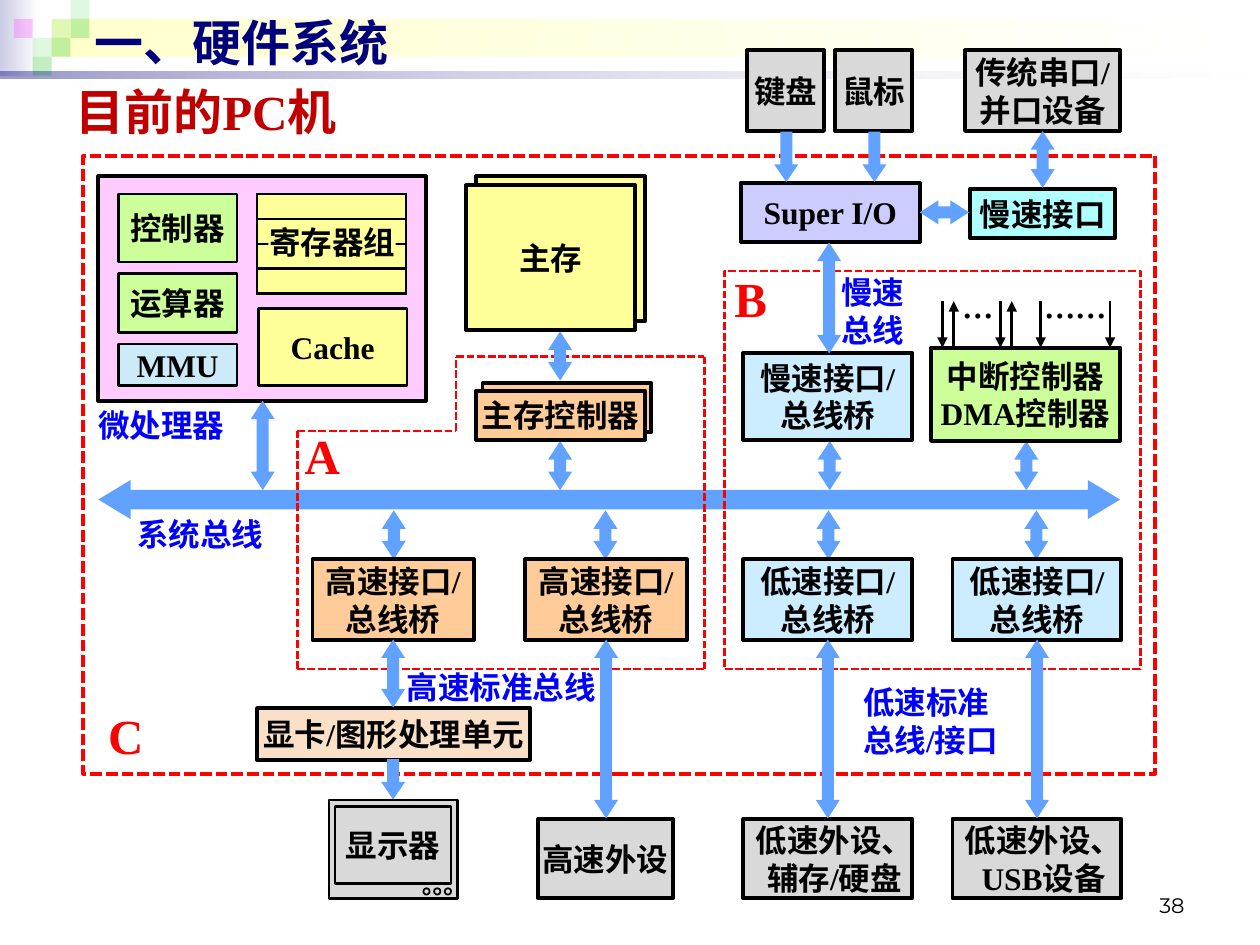
from itertools import pairwise
from lxml.etree import SubElement
from pptx import Presentation
from pptx.dml.color import RGBColor
from pptx.enum.dml import MSO_LINE
from pptx.enum.shapes import MSO_CONNECTOR, MSO_SHAPE
from pptx.enum.text import MSO_ANCHOR, MSO_AUTO_SIZE, PP_ALIGN
from pptx.oxml.ns import qn
from pptx.util import Inches, Pt

CELL = 0.1  # grid of 100 columns by 75 rows on a 10 x 7.5 inch slide
GREY, ORANGE, SKY, LIME, YELLOW = "D9D9D9", "FFCC99", "CCECFF", "CCFF99", "FFFF99"
ARROW, RED, BLUE, BLACK = "61A1FF", "FF0000", "0000FF", "000000"
CJK = "Noto Sans CJK SC"


def rgb(value):
    return RGBColor.from_string(value)


def grid(*cells):
    return [Inches(round(c * CELL, 3)) for c in cells]


def write(tf, text, size=18, font="Times New Roman", color=BLACK, bold=True,
          aligns=(PP_ALIGN.CENTER,), plain=False):
    """Fill a text frame, one paragraph per line; the last alignment repeats."""
    for i, line in enumerate(text.split("\n")):
        p = tf.paragraphs[0] if i == 0 else tf.add_paragraph()
        p.alignment = aligns[min(i, len(aligns) - 1)]
        if plain:
            pPr = p._p.get_or_add_pPr()
            pPr.set("marL", "0")
            pPr.set("indent", "0")
            SubElement(pPr, qn("a:buNone"))
            p.space_before = Pt(0)
        r = p.add_run()
        r.text = line
        r.font.size, r.font.bold, r.font.name = Pt(size), bold, font
        r.font.color.rgb = rgb(color)
        SubElement(r._r.get_or_add_rPr(), qn("a:ea"), typeface=CJK)


class Diagram:
    def __init__(self, prs):
        self.s = prs.slides.add_slide(prs.slide_layouts[1])
        self.shapes = self.s.shapes

    def shape(self, at, fill=None, line=None, width=2.25, kind=MSO_SHAPE.RECTANGLE,
              dash=False, alphas=()):
        sp = self.shapes.add_shape(kind, *grid(*at))
        sp.shadow.inherit = False
        if fill is None:
            sp.fill.background()
        elif isinstance(fill, tuple):
            sp.fill.gradient()
            sp.fill.gradient_angle = 0
            for stop, color in zip(sp.fill.gradient_stops, fill):
                stop.color.rgb = rgb(color)
        else:
            sp.fill.solid()
            sp.fill.fore_color.rgb = rgb(fill)
        for color, alpha in zip(sp._element.spPr.iter(qn("a:srgbClr")), alphas):
            SubElement(color, qn("a:alpha"), val=str(alpha * 1000))
        if line:
            self.stroke(sp.line, line, width, dash)
        else:
            sp.line.fill.background()
        return sp

    def stroke(self, line, color, width, dash=False):
        line.color.rgb, line.width = rgb(color), Pt(width)
        if dash:
            line.dash_style = MSO_LINE.SQUARE_DOT

    def box(self, text, at, fill, line=BLACK, width=2.25, **fmt):
        sp = self.shape(at, fill, line, width)
        tf = sp.text_frame
        tf.word_wrap, tf.vertical_anchor = False, MSO_ANCHOR.MIDDLE
        write(tf, text, **fmt)
        return sp

    def label(self, text, at, inset=(0.1, 0.05), wrap=False, anchor=MSO_ANCHOR.TOP, grow=True,
              aligns=(PP_ALIGN.LEFT,), **fmt):
        tf = self.shapes.add_textbox(*grid(*at)).text_frame
        tf.margin_left = tf.margin_right = Inches(inset[0])
        tf.margin_top = tf.margin_bottom = Inches(inset[1])
        tf.word_wrap, tf.vertical_anchor = wrap, anchor
        tf.auto_size = MSO_AUTO_SIZE.SHAPE_TO_FIT_TEXT if grow else MSO_AUTO_SIZE.NONE
        write(tf, text, aligns=aligns, **fmt)

    def placeholder(self, index, text, at, anchor, **fmt):
        ph = self.s.placeholders[index]
        ph.left, ph.top, ph.width, ph.height = grid(*at)
        self.shapes._spTree.append(ph._element)  # bring in front of the banner
        tf = ph.text_frame
        tf.vertical_anchor, tf.auto_size = anchor, MSO_AUTO_SIZE.NONE
        write(tf, text, size=28, aligns=(PP_ALIGN.LEFT,), plain=True, **fmt)

    def arrow(self, at, both=True, head=0.774):
        kind = MSO_SHAPE.LEFT_RIGHT_ARROW if both else MSO_SHAPE.RIGHT_ARROW
        sp = self.shape(at, ARROW, kind=kind)
        sp.adjustments[0], sp.adjustments[1] = 0.5, head
        return sp

    def v_arrow(self, x, top, bottom, both=True):
        length, thick = bottom - top, 1.9
        at = (x - length / 2, (top + bottom - thick) / 2, length, thick)
        self.arrow(at, both, 0.774 if both else 0.733).rotation = 90

    def line(self, start, end, color, dash=False, head=False):
        c = self.shapes.add_connector(MSO_CONNECTOR.STRAIGHT, *grid(*start, *end))
        self.stroke(c.line, color, 1.5, dash)
        if head:
            SubElement(c.line._get_or_add_ln(), qn("a:tailEnd"), type="triangle")
        SubElement(c._element.spPr, qn("a:effectLst"))

    def stripes(self, at, rows, fill):
        t = self.shapes.add_table(rows, 1, *grid(*at)).table
        t.first_row = t.horz_banding = False
        for row in t.rows:
            cell = row.cells[0]
            cell.margin_top = cell.margin_bottom = 0
            SubElement(cell.text_frame.paragraphs[0]._p, qn("a:endParaRPr"), sz="800")
            tcPr = cell._tc.get_or_add_tcPr()
            for side in ("lnL", "lnR", "lnT", "lnB"):
                ln = SubElement(tcPr, qn("a:" + side), w=str(Pt(1.5)))
                SubElement(SubElement(ln, qn("a:solidFill")), qn("a:srgbClr"), val=BLACK)
            cell.fill.solid()
            cell.fill.fore_color.rgb = rgb(fill)


def main():
    prs = Presentation()
    prs.slide_width, prs.slide_height = grid(100, 75)
    d = Diagram(prs)

    # Banner, heading and page number
    d.shape((0, 0, 3.1, 6), ("CCCCE6", "FFFFFF"))
    d.shape((4.1, 1.5, 95.5, 3), ("FFFFCC", "FFFFFF"))
    for col, row, color, alpha in ((2, 1, "33CC33", 15), (3, 0, "33CC33", 15),
                                   (3, 1, "33CC33", 30), (1, 2, "33CC33", 15),
                                   (0, 1, "FF00FF", 20), (2, 2, "33CC33", 30),
                                   (1, 3, "33CC33", 30)):
        d.shape((1.1 + 1.5 * col, 1.5 * row, 1.5, 1.5), color, alphas=(alpha,))
    d.shape((0, 5.7, 100, 0.5), ("00007D", "FFFFFF"), alphas=(40, 10))
    d.placeholder(0, "一、硬件系统", (6.5, 0.5, 90, 5.7), MSO_ANCHOR.MIDDLE,
                  font="Arial", color="00007D")
    d.placeholder(1, "目前的PC机", (5, 6, 27.3, 5.6), MSO_ANCHOR.TOP, color="C00000")
    d.label("38", (71.7, 68.3, 23.3, 5), wrap=True, anchor=MSO_ANCHOR.BOTTOM, grow=False,
            aligns=(PP_ALIGN.RIGHT,), size=12, font="Montserrat", bold=False)

    # Microprocessor
    d.shape((7.8, 14, 26, 17.8), "FFCCFF", BLACK)
    for text, top, height, fill in (("控制器", 15.4, 5.4, LIME), ("运算器", 21.7, 4.7, LIME),
                                    ("MMU", 27.3, 3.3, "CCEAF8")):
        d.box(text, (9.4, top, 9.4, height), fill, width=1.5)
    d.stripes((20.4, 15.4, 11.8, 7.9), 4, YELLOW)
    tf = d.box("寄存器组", (21.3, 17.7, 10.1, 3), YELLOW, line=None).text_frame
    tf.margin_left = tf.margin_right = tf.margin_top = tf.margin_bottom = 0
    d.box("Cache", (20.5, 24.5, 11.8, 6.1), YELLOW, width=1.5)

    # System bus and its short links
    d.arrow((7.8, 38.1, 81.1, 3.1), head=0.827)
    d.v_arrow(20.85, 31.8, 38.9)
    for x in (44.45, 65.85, 81.45):
        d.v_arrow(x, 35, 38.9)
    for x in (31.25, 48.05, 65.75, 82.25):
        d.v_arrow(x, 40.5, 44.4)

    # Bridges below the bus
    for left in (24.8, 41.7):
        d.box("高速接口/\n总线桥", (left, 44.4, 12.8, 6.4), ORANGE)
    for left, devices in ((59, "低速外设、\n辅存/硬盘"), (75.6, "低速外设、\nUSB设备")):
        d.box("低速接口/\n总线桥", (left, 44.4, 13.4, 6.4), SKY)
        d.box(devices, (left, 65, 13.4, 6.3), GREY, aligns=(PP_ALIGN.LEFT, PP_ALIGN.CENTER))

    # Peripherals and slow side
    d.box("高速外设", (42.7, 65, 10.7, 6.3), GREY)
    d.box("显卡/图形处理单元", (20.4, 56.2, 21.7, 4.1), "F9E0C7")
    d.box("慢速接口/\n总线桥", (59, 28, 13.4, 6.9), SKY)
    d.box("Super I/O", (58.8, 14.5, 14.2, 4.7), "CCCCFF")
    d.box("中断控制器\nDMA控制器", (73.9, 27.6, 15, 7.4), LIME)
    d.box("慢速接口", (77, 15, 11.5, 3.9), "AFFFFF")
    for text, left, width in (("键盘", 59.3, 6.1), ("鼠标", 66.3, 6.1),
                              ("传统串口/\n并口设备", 76.6, 12.3)):
        d.box(text, (left, 4, width, 6.4), GREY)

    # Monitor
    d.shape((26.1, 63.5, 10.2, 7.8), GREY, BLACK, 1.5)
    d.box("显示器", (26.6, 64, 9.2, 6.1), GREY, width=1.5)
    for i in range(3):
        d.shape((33.6 + 0.85 * i, 70.5, 0.5, 0.5), GREY, BLACK, 1, MSO_SHAPE.OVAL)

    # Dashed regions A, B and C
    outline = [(36.2, 28.3), (55.9, 28.3), (55.9, 53.1), (23.6, 53.1), (23.6, 34.2),
               (36.2, 34.2), (36.2, 28.3)]
    for start, end in pairwise(outline):
        d.line(start, end, RED, dash=True)
    d.shape((57.5, 21.5, 33, 31.6), line=RED, width=1.5, dash=True)
    d.shape((6.6, 12.4, 85.1, 49), line=RED, dash=True)
    for text, left, top in (("A", 23.2, 33.3), ("B", 57.3, 20.8), ("C", 7.6, 55.5)):
        d.label(text, (left, top, 4.9, 5.7), size=28, color=RED)

    # Interrupt and DMA request lines
    for x, down in ((74.8, True), (75.7, False), (79.4, True), (80.3, False),
                    (82.6, True), (88.1, True)):
        ends = [(x, 23.9), (x, 27.6)]
        d.line(*(ends if down else ends[::-1]), BLACK, head=True)
    d.label("…", (75.4, 23.1, 4.5, 4), font=CJK)
    d.label("……", (81.9, 23.1, 7.1, 4), font=CJK)

    # Bus names
    d.label("微处理器", (7.8, 31.7, 10.1, 4), (0, 0.05), color=BLUE)
    d.label("系统总线", (10.9, 40.4, 10.1, 4), (0, 0.05), color=BLUE)
    d.label("慢速\n总线", (65.8, 21.2, 7.1, 7.1), color=BLUE)
    d.label("高速标准总线", (32.3, 53, 15.1, 3), (0, 0), color=BLUE)
    d.label("低速标准\n总线/接口", (68.5, 54.2, 10.8, 6.1), (0, 0), wrap=True, color=BLUE)

    # Links between devices and interfaces
    d.v_arrow(31.2, 60.25, 63.45, both=False)
    for x in (62.4, 69.4):
        d.v_arrow(x, 10.45, 14.45, both=False)
    d.arrow((73, 15.9, 3.9, 1.9))
    for x, top, bottom in ((82.75, 10.4, 14.9), (48.1, 50.75, 64.95), (65.7, 50.75, 64.95),
                           (82.3, 50.75, 64.95), (44.45, 26.3, 30.2), (31.2, 50.75, 56.15),
                           (65.8, 19.25, 28.05)):
        d.v_arrow(x, top, bottom)

    # Main memory and its controller, each a stack of two
    d.shape((38.3, 30.4, 13.4, 3.9), ORANGE, BLACK)
    d.box("主存控制器", (37.8, 31, 13.4, 3.9), ORANGE)
    d.shape((37.8, 14, 13.4, 11.5), YELLOW, BLACK)
    d.box("主存", (37, 14.7, 13.4, 11.5), YELLOW)

    prs.save("out.pptx")


if __name__ == "__main__":
    main()
